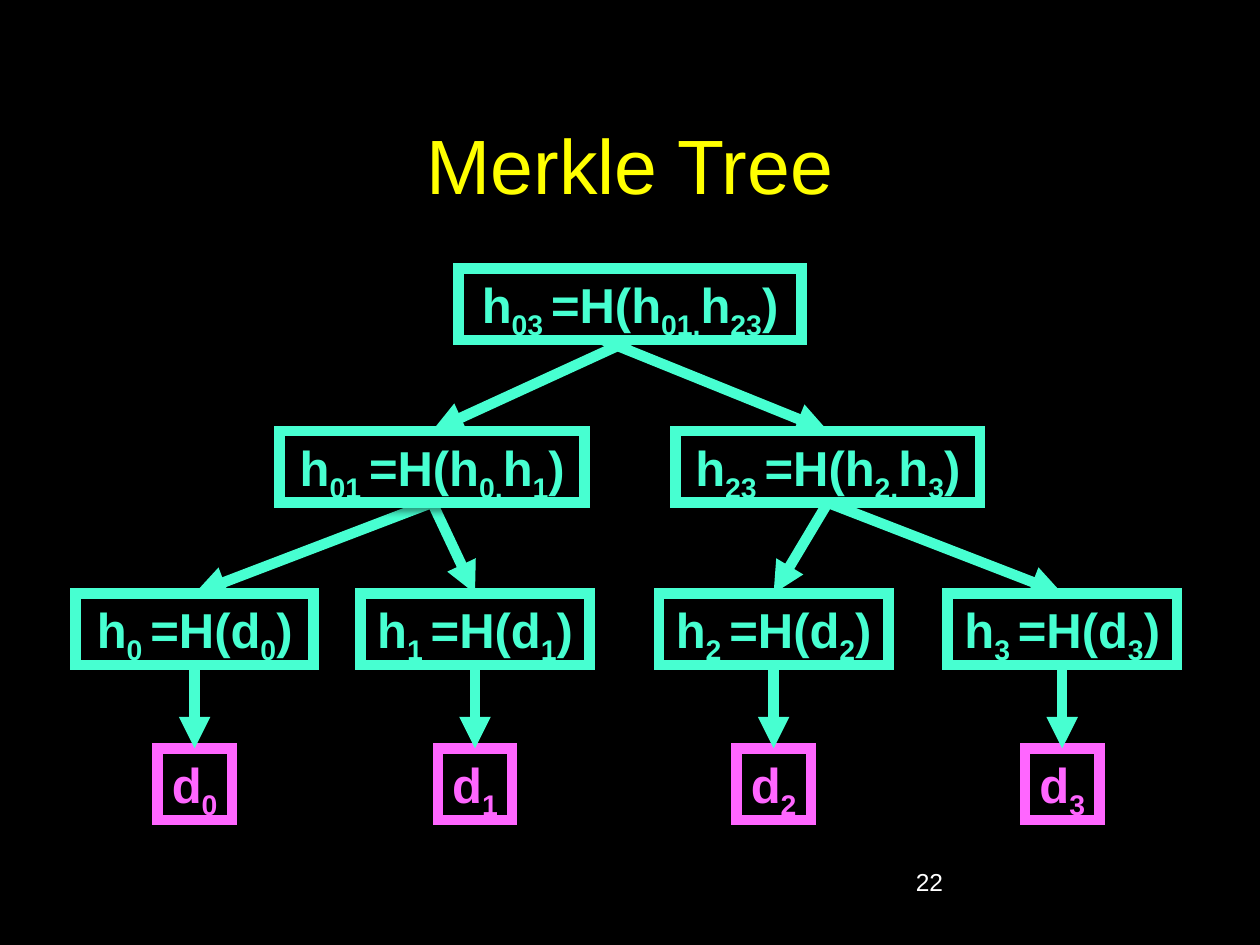
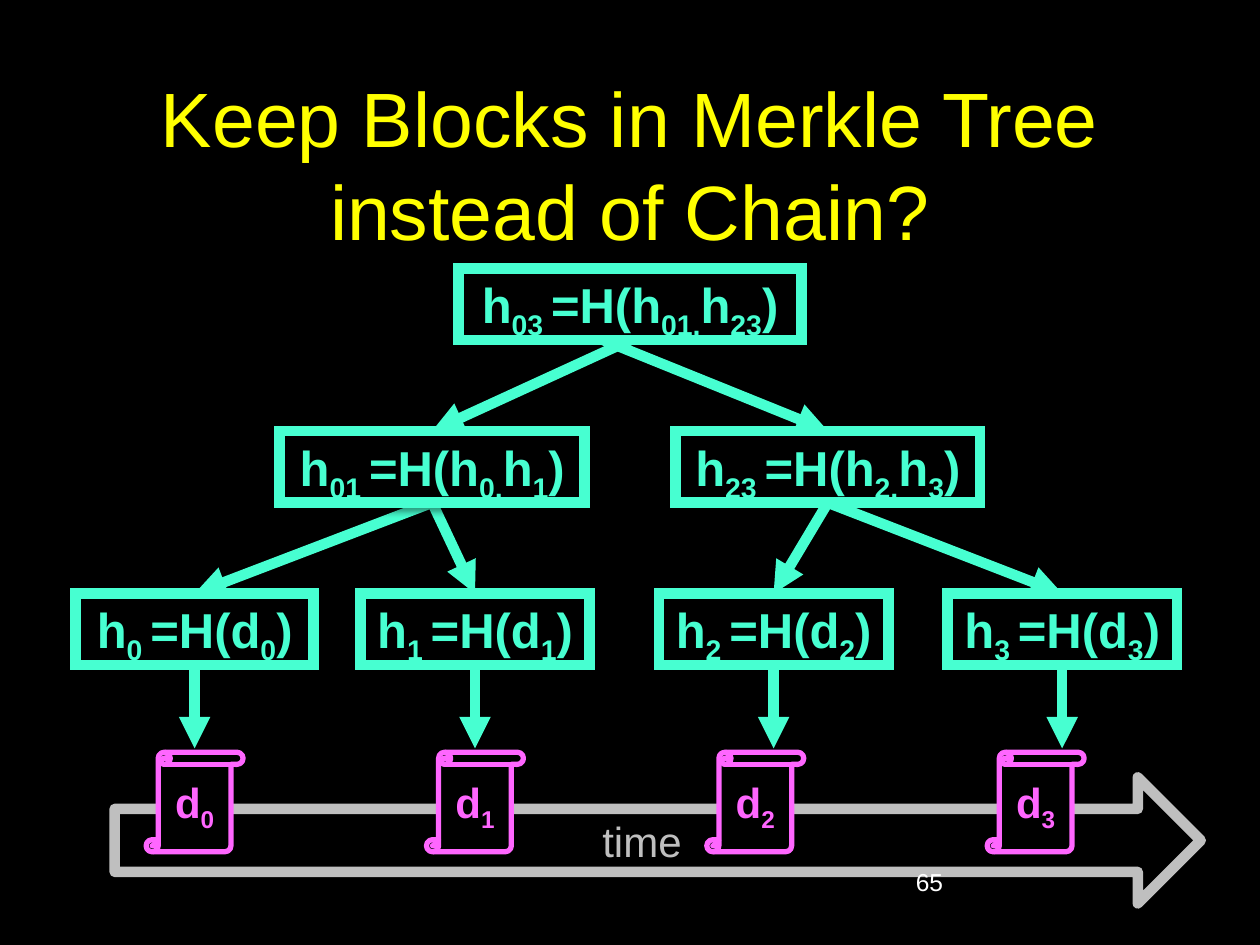
"""Build two Merkle tree slides on a grid of 100 columns by 75 rows."""
from dataclasses import dataclass

from lxml import etree
from pptx import Presentation
from pptx import util as u
from pptx.dml.color import RGBColor
from pptx.enum import shapes, text
from pptx.oxml import ns

WIDTH, HEIGHT = u.Inches(10), u.Inches(7.5)
COLUMNS, ROWS = 100, 75
FONT = "Arial"
BLACK, WHITE, YELLOW, GREY = "000000", "FFFFFF", "FFFF00", "BFBFBF"
HASH_COLOUR, DATA_COLOUR = "47FFD1", "FF66FF"
THICK, THIN = 6, 3
ROOT_ROW, INNER_ROW, LEAF_ROW, DATA_ROW = 21.3, 34.2, 47.1, 59.4
BOX_ROWS = 5.7
DATA_COLUMNS = 5.9


@dataclass(frozen=True)
class Node:
    """A boxed label; parts after each odd bar are subscripts."""
    label: str
    col: float
    row: float
    cols: float
    colour: str = HASH_COLOUR

    @property
    def centre(self) -> float:
        """Return the middle column."""
        return self.col + self.cols / 2

    @property
    def bottom(self) -> float:
        """Return the row of the lower edge."""
        return self.row + BOX_ROWS


ROOT = Node("h|03 |=H(h|01,|h|23|)", 36.4, ROOT_ROW, 27.2)
INNER = (Node("h|01 |=H(h|0,|h|1|)", 22.2, INNER_ROW, 24.2),
         Node("h|23 |=H(h|2,|h|3|)", 53.6, INNER_ROW, 24.2))
LEAVES = [Node(f"h|{i} |=H(d|{i}|)", col, LEAF_ROW, cols)
          for i, (col, cols) in enumerate(
              [(6, 18.9), (28.6, 18.2), (52.3, 18.2), (75.2, 18.2)])]
DATA = [Node(f"d|{i}", leaf.centre - DATA_COLUMNS / 2, DATA_ROW,
             DATA_COLUMNS, DATA_COLOUR) for i, leaf in enumerate(LEAVES)]


def x(col: float) -> int:
    """Turn columns into a length."""
    return round(WIDTH * col / COLUMNS)


def y(row: float) -> int:
    """Turn rows into a length."""
    return round(HEIGHT * row / ROWS)


def rgb(colour: str) -> RGBColor:
    """Turn a hex string into a colour."""
    return RGBColor.from_string(colour)


def add_element(parent, tag: str, **attributes: str):
    """Append a drawing element to a parent."""
    return etree.SubElement(parent, ns.qn(tag), attributes)


def write(tf, label: str, size: float, colour: str, bold: bool = False,
          align=text.PP_ALIGN.CENTER, anchor=text.MSO_ANCHOR.MIDDLE) -> None:
    """Write a label whose odd parts are subscripts."""
    tf.word_wrap = True
    tf.vertical_anchor = anchor
    p = tf.paragraphs[0]
    p.alignment = align
    for i, part in enumerate(label.split("|")):
        r = p.add_run()
        r.text = part
        r.font.name, r.font.size, r.font.bold = FONT, u.Pt(size), bold
        r.font.color.rgb = rgb(colour)
        if i % 2:
            r.font._element.set("baseline", "-25000")


def add_text(s, label: str, col: float, row: float, cols: float, rows: float,
             size: float, colour: str, **layout) -> None:
    """Add a plain text box."""
    tb = s.shapes.add_textbox(x(col), y(row), x(cols), y(rows))
    write(tb.text_frame, label, size, colour, **layout)


def add_outlined(s, kind, label: str, col: float, row: float, cols: float,
                 rows: float, colour: str, width: float, size: float, **layout):
    """Add a black preset shape with a coloured outline and label."""
    sp = s.shapes.add_shape(kind, x(col), y(row), x(cols), y(rows))
    sp.shadow.inherit = False
    sp.fill.solid()
    sp.fill.fore_color.rgb = rgb(BLACK)
    sp.line.color.rgb = rgb(colour)
    sp.line.width = u.Pt(width)
    write(sp.text_frame, label, size, colour, **layout)
    return sp


def add_node(s, node: Node) -> None:
    """Add a node as a square-cornered box with a soft shadow."""
    sp = add_outlined(s, shapes.MSO_SHAPE.RECTANGLE, node.label, node.col,
                      node.row, node.cols, BOX_ROWS, node.colour, THICK, 28,
                      bold=True, anchor=text.MSO_ANCHOR.TOP)
    sp.text_frame.word_wrap = False
    sp.text_frame.auto_size = text.MSO_AUTO_SIZE.SHAPE_TO_FIT_TEXT
    add_element(sp.line._get_or_add_ln(), "a:miter", lim="800000")
    effects = sp._element.spPr.find(ns.qn("a:effectLst"))
    shadow = add_element(effects, "a:outerShdw", blurRad=str(u.Pt(4)),
                         dist=str(u.Pt(3)), dir="2700000")
    tint = add_element(shadow, "a:srgbClr", val=BLACK)
    add_element(tint, "a:alpha", val="40000")


def add_arrow(s, parent: Node, child: Node, shift: float = 0) -> None:
    """Add an arrow from under a parent to the top of its child."""
    c = s.shapes.add_connector(
        shapes.MSO_CONNECTOR.STRAIGHT, x(parent.centre + shift),
        y(parent.bottom), x(child.centre), y(child.row))
    c.line.color.rgb = rgb(HASH_COLOUR)
    c.line.width = u.Pt(THICK)
    add_element(c.line._get_or_add_ln(), "a:tailEnd", type="triangle")
    add_element(c._element.spPr, "a:effectLst")


def add_branches(s, parent: Node, leaves: list[Node]) -> None:
    """Add the arrows from an inner node to its leaves."""
    for leaf in leaves:
        add_arrow(s, parent, leaf)


def add_tree(s, boxed_data: bool) -> None:
    """Add the hash tree, with its data in boxes if asked."""
    left, right = INNER
    add_node(s, ROOT)
    for leaf, data in zip(LEAVES, DATA):
        add_node(s, leaf)
        if boxed_data:
            add_node(s, data)
        add_arrow(s, leaf, data)
    add_branches(s, left, LEAVES[:2])
    for node in INNER:
        add_node(s, node)
    add_branches(s, right, LEAVES[2:])
    add_arrow(s, ROOT, left)
    add_arrow(s, ROOT, right, shift=-2.1)


def add_time_arrow(s) -> None:
    """Add the wide time arrow."""
    add_outlined(s, shapes.MSO_SHAPE.RIGHT_ARROW, "time", 9.1, 61.7, 86.2, 10,
                 GREY, THICK, 24)


def add_scrolls(s) -> None:
    """Add evenly spaced data scrolls along the time arrow."""
    for i, data in enumerate(DATA):
        add_outlined(s, shapes.MSO_SHAPE.VERTICAL_SCROLL, data.label,
                     11.6 + 22.25 * i, 59.7, 7.7, 7.9, DATA_COLOUR, THIN, 24,
                     bold=True)


def add_slide(prs):
    """Add a blank black slide."""
    s = prs.slides.add_slide(prs.slide_layouts[6])
    s.background.fill.solid()
    s.background.fill.fore_color.rgb = rgb(BLACK)
    return s


def add_heading(s, title: str, number: int) -> None:
    """Add the title and the slide number."""
    add_text(s, title, 7.5, 6.7, 85, 12.5, 44, YELLOW)
    add_text(s, str(number), 71.7, 68.3, 20.8, 5, 14, WHITE,
             align=text.PP_ALIGN.LEFT, anchor=text.MSO_ANCHOR.TOP)


def main() -> None:
    """Build and save the slides."""
    prs = Presentation()
    prs.slide_width, prs.slide_height = WIDTH, HEIGHT

    s = add_slide(prs)
    add_heading(s, "Merkle Tree", 22)
    add_tree(s, boxed_data=True)

    s = add_slide(prs)
    add_time_arrow(s)
    add_heading(s, "Keep Blocks in Merkle Tree instead of Chain?", 65)
    add_tree(s, boxed_data=False)
    add_scrolls(s)

    prs.save("out.pptx")


if __name__ == "__main__":
    main()
